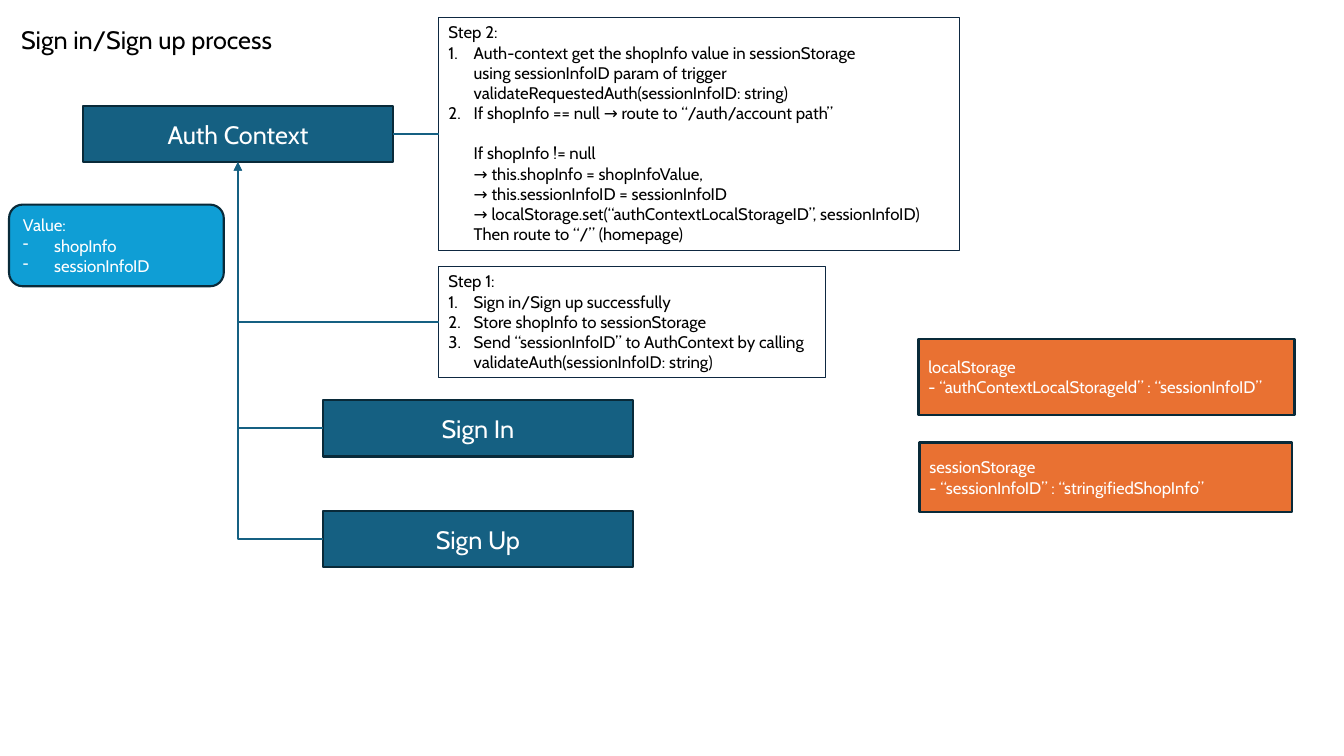
from copy import deepcopy
from dataclasses import dataclass

from lxml.etree import SubElement
from pptx import Presentation
from pptx.dml.color import RGBColor
from pptx.enum.shapes import MSO_CONNECTOR as Link, MSO_SHAPE as Shape
from pptx.enum.text import MSO_ANCHOR as Anchor, MSO_AUTO_SIZE as AutoSize, PP_ALIGN as Align
from pptx.oxml.ns import qn
from pptx.util import Inches, Pt


@dataclass(frozen=True)
class Theme:
    font: str = "Cabin"
    heading: int = 18
    body: int = 12
    teal: str = "156082"
    orange: str = "E97132"
    blue: str = "0F9ED5"
    edge: str = "092A39"
    step_edge: str = "0E2841"
    white: str = "FFFFFF"
    black: str = "000000"


theme = Theme()


def write(shape, items, size, color, align=Align.LEFT, marker=None, indent=0, **frame_format):
    """Fill a shape with paragraphs; those after the first take the list marker."""
    frame = shape.text_frame
    for name, value in frame_format.items():
        setattr(frame, name, value)
    for index, item in enumerate(items):
        paragraph = frame.paragraphs[0] if index == 0 else frame.add_paragraph()
        paragraph.text = item
        paragraph.alignment = align
        font_format = {"name": theme.font, "size": Pt(size)}
        for run in paragraph.runs:
            for name, value in font_format.items():
                setattr(run.font, name, value)
            run.font.color.rgb = RGBColor.from_string(color)
        # Line breaks take the size of the text around them
        for line_break in paragraph._p.findall(qn("a:br")):
            line_break.append(deepcopy(paragraph.runs[0]._r.rPr))
        if marker and index:
            properties = paragraph._p.get_or_add_pPr()
            properties.set("marL", str(Inches(indent)))
            properties.set("indent", str(-Inches(indent)))
            tag, attribute, value = marker
            SubElement(properties, qn(tag)).set(attribute, value)


def connect(kind, start, end, arrow=False):
    """Draw a teal connector; an end is a (shape, side) pair or an (x, y) point."""
    link = slide.shapes.add_connector(kind, 0, 0, 0, 0)
    link.begin_connect(*start)
    if isinstance(end[0], float):
        link.end_x, link.end_y = Inches(end[0]), link.begin_y
    else:
        link.end_connect(*end)
    link.line.color.rgb = RGBColor.from_string(theme.teal)
    link.line.width = Pt(1.5)
    SubElement(link._element.spPr, qn("a:effectLst"))
    if arrow:
        SubElement(link.line._get_or_add_ln(), qn("a:tailEnd")).set("type", "triangle")
    return link


presentation = Presentation()
presentation.slide_width, presentation.slide_height = Inches(13.33), Inches(7.5)
slide = presentation.slides.add_slide(presentation.slide_layouts[5])

# Title
title = slide.shapes.title
title_box = {"left": 0.11, "top": 0.19, "width": 2.71, "height": 0.4}
for name, value in title_box.items():
    setattr(title, name, Inches(value))
write(title, ["Sign in/Sign up process"], theme.heading, theme.black,
      word_wrap=False, auto_size=AutoSize.SHAPE_TO_FIT_TEXT, vertical_anchor=Anchor.TOP)

# Filled boxes: components, storages and the context value
heading_text = {"size": theme.heading, "align": Align.CENTER}
body_text = {"size": theme.body}
value_text = {"size": theme.body, "marker": ("a:buChar", "char", "-"), "indent": 0.31}
component_size = (3.08, 0.56)
filled_boxes = [
    (Shape.RECTANGLE, (0.82, 1.05, *component_size), theme.teal, heading_text, ["Auth Context"]),
    (Shape.RECTANGLE, (3.2, 3.97, *component_size), theme.teal, heading_text, ["Sign In"]),
    (Shape.RECTANGLE, (3.2, 5.07, *component_size), theme.teal, heading_text, ["Sign Up"]),
    (Shape.RECTANGLE, (9.11, 3.36, 3.73, 0.76), theme.orange, body_text,
     ["localStorage", "- “authContextLocalStorageId” : “sessionInfoID”"]),
    (Shape.RECTANGLE, (9.12, 4.39, 3.69, 0.69), theme.orange, body_text,
     ["sessionStorage", "- “sessionInfoID” : “stringifiedShopInfo”"]),
    (Shape.ROUNDED_RECTANGLE, (0.09, 2.03, 2.13, 0.81), theme.blue, value_text,
     ["Value:", "shopInfo", "sessionInfoID"]),
]
drawn = []
for outline, place, fill, text_format, items in filled_boxes:
    box = slide.shapes.add_shape(outline, *map(Inches, place))
    box.shadow.inherit = False
    box.fill.solid()
    box.fill.fore_color.rgb = RGBColor.from_string(fill)
    box.line.color.rgb = RGBColor.from_string(theme.edge)
    box.line.width = Pt(1.5)
    write(box, items, color=theme.white, vertical_anchor=Anchor.MIDDLE, **text_format)
    drawn.append(box)
auth_context, sign_in, sign_up = drawn[:3]

# Outlined step notes
step_notes = [
    ((4.35, 2.64, 3.84, 1.11), False, [
        "Step 1:",
        "Sign in/Sign up successfully",
        "Store shopInfo to sessionStorage",
        "Send “sessionInfoID” to AuthContext by calling\nvalidateAuth(sessionInfoID: string)",
    ]),
    ((4.35, 0.17, 5.17, 2.32), True, [
        "Step 2:",
        "Auth-context get the shopInfo value in sessionStorage\n"
        "using sessionInfoID param of trigger validateRequestedAuth(sessionInfoID: string)",
        "If shopInfo == null → route to “/auth/account path”\n\n"
        "If shopInfo != null\n"
        "→ this.shopInfo = shopInfoValue,\n"
        "→ this.sessionInfoID = sessionInfoID\n"
        "→ localStorage.set(“authContextLocalStorageID”, sessionInfoID)\n"
        "Then route to “/” (homepage)",
    ]),
]
steps = []
for place, wraps, items in step_notes:
    note = slide.shapes.add_textbox(*map(Inches, place))
    note.line.color.rgb = RGBColor.from_string(theme.step_edge)
    note.line.width = Pt(0.75)
    write(note, items, theme.body, theme.black, indent=0.25,
          marker=("a:buAutoNum", "type", "arabicPeriod"),
          word_wrap=wraps, auto_size=AutoSize.SHAPE_TO_FIT_TEXT)
    steps.append(note)
step_1, step_2 = steps

# Sign in and sign up both lead to the context through a single bend
for entry in (sign_in, sign_up):
    bend = connect(Link.ELBOW, (entry, 1), (auth_context, 2), arrow=True)
    bend._element.spPr.find(qn("a:prstGeom")).set("prst", "bentConnector2")

# Step notes hang on the flow
connect(Link.STRAIGHT, (step_1, 1), (2.35, 3.2))
connect(Link.STRAIGHT, (step_2, 1), (auth_context, 3))

presentation.save("out.pptx")
